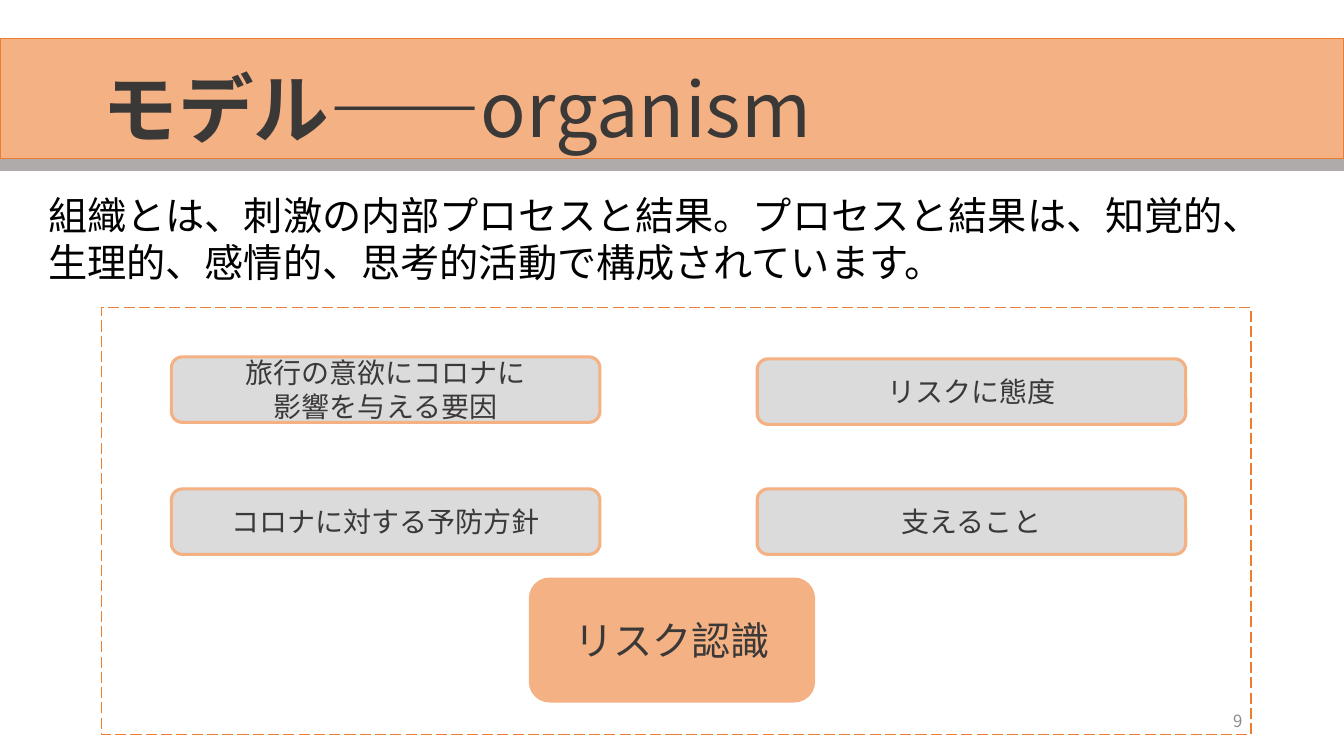
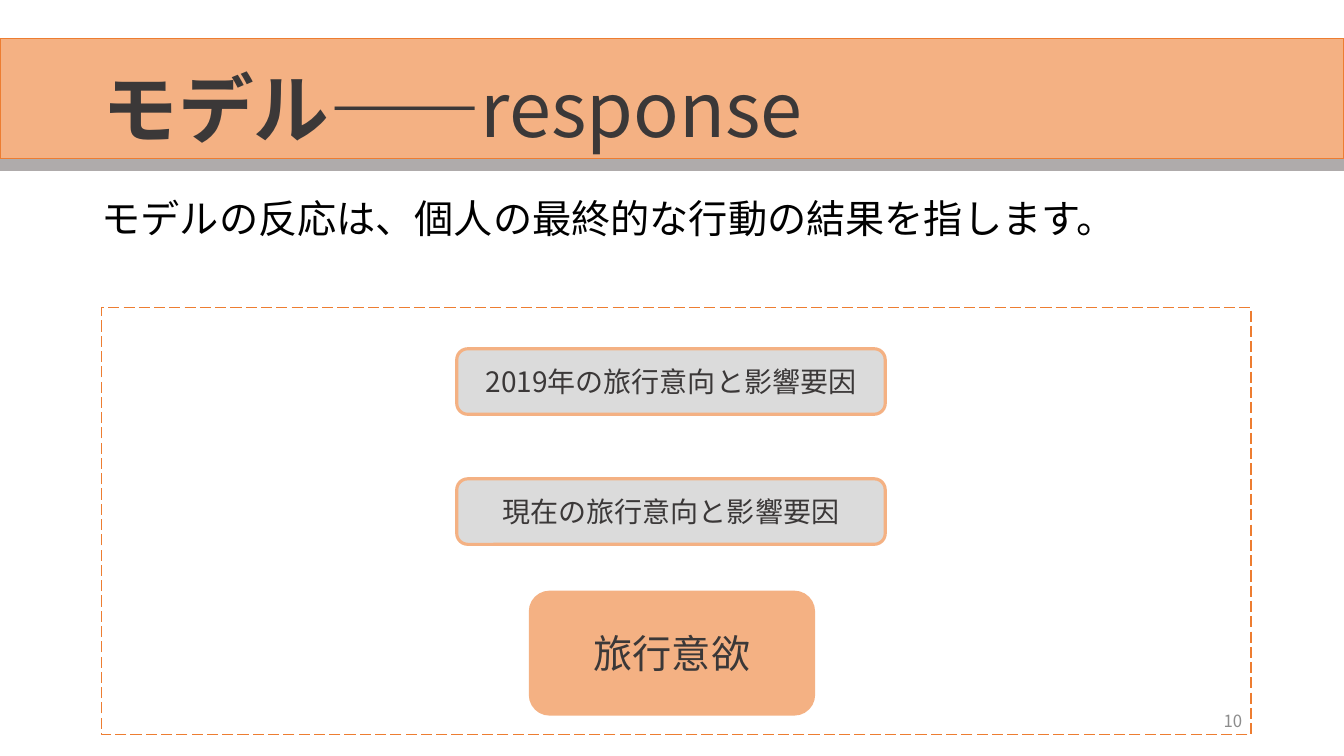
"""Build two slides on the organism and response stages of the model."""

from dataclasses import dataclass

from lxml import etree
from pptx import Presentation
from pptx.dml.color import RGBColor
from pptx.enum.dml import MSO_LINE
from pptx.enum.shapes import MSO_SHAPE
from pptx.enum.text import MSO_ANCHOR, PP_ALIGN
from pptx.oxml.ns import qn
from pptx.shapes.autoshape import Shape
from pptx.slide import Slide
from pptx.util import Inches, Pt

RECT = MSO_SHAPE.RECTANGLE
ROUNDED = MSO_SHAPE.ROUNDED_RECTANGLE
LONG_DASH = MSO_LINE.LONG_DASH
TOP, MIDDLE = MSO_ANCHOR.TOP, MSO_ANCHOR.MIDDLE
LEFT, CENTER, RIGHT = PP_ALIGN.LEFT, PP_ALIGN.CENTER, PP_ALIGN.RIGHT


@dataclass(frozen=True)
class Theme:
    font: str = "Noto Sans CJK JP"
    peach: str = "F4B183"
    orange: str = "ED7D31"
    rule: str = "AFABAB"
    panel: str = "DBDBDB"
    ink: str = "3B3838"
    body: str = "000000"
    muted: str = "8C8C8C"
    title_size: int = 54
    lead_size: int = 28
    factor_size: int = 20
    number_size: int = 12


@dataclass(frozen=True)
class Box:
    left: float
    top: float
    width: float
    height: float


@dataclass(frozen=True)
class Factor:
    text: str
    left: float
    top: float


@dataclass(frozen=True)
class Stage:
    name: str
    lead: str
    lead_box: Box
    factors: tuple[Factor, ...]
    outcome: str
    outcome_top: float
    number: int


THEME = Theme()
SLIDE_WIDTH, SLIDE_HEIGHT = 13.33, 7.5
BAND = Box(0, 0.38, SLIDE_WIDTH, 1.2)
RULE = Box(0, 1.58, SLIDE_WIDTH, 0.11)
TITLE = Box(0.92, 0.4, 11.5, 1.45)
FRAME = Box(1.01, 3.05, 11.4, 4.24)
NUMBER = Box(9.42, 6.95, 3, 0.4)
FACTOR_WIDTH, FACTOR_HEIGHT = 4.25, 0.65
OUTCOME_WIDTH, OUTCOME_HEIGHT = 2.84, 1.24
LEFT_COLUMN, MIDDLE_COLUMN, RIGHT_COLUMN = 1.7, 4.53, 7.51

STAGES = (
    Stage(
        "organism",
        "組織とは、刺激の内部プロセスと結果。プロセスと結果は、知覚的、"
        "生理的、感情的、思考的活動で構成されています。",
        Box(0.38, 1.85, 12.56, 1.04),
        (
            Factor("旅行の意欲にコロナに\n影響を与える要因", LEFT_COLUMN, 3.54),
            Factor("コロナに対する予防方針", LEFT_COLUMN, 4.85),
            Factor("リスクに態度", RIGHT_COLUMN, 3.56),
            Factor("支えること", RIGHT_COLUMN, 4.85),
        ),
        "リスク認識", 5.73, 9,
    ),
    Stage(
        "response",
        "モデルの反応は、個人の最終的な行動の結果を指します。",
        Box(0.91, 1.88, 11.5, 0.57),
        (
            Factor("2019年の旅行意向と影響要因", MIDDLE_COLUMN, 3.46),
            Factor("現在の旅行意向と影響要因", MIDDLE_COLUMN, 4.75),
        ),
        "旅行意欲", 5.86, 10,
    ),
)


def place(box: Box) -> tuple[Inches, ...]:
    return tuple(Inches(v) for v in (box.left, box.top, box.width, box.height))


def write(shape: Shape, text: str, *, size: int, color: str = THEME.ink,
          align: PP_ALIGN = LEFT, anchor: MSO_ANCHOR = MIDDLE,
          bold_lead: str = "", spacing: float = 1.0) -> None:
    frame = shape.text_frame
    frame.word_wrap = True
    frame.vertical_anchor = anchor
    for index, line in enumerate(text.split("\n")):
        paragraph = frame.add_paragraph() if index else frame.paragraphs[0]
        paragraph.alignment = align
        paragraph.line_spacing = spacing
        for part, bold in ((bold_lead, True), (line, False)):
            if not part:
                continue
            run = paragraph.add_run()
            run.text = part
            run.font.size = Pt(size)
            run.font.bold = bold
            run.font.color.rgb = RGBColor.from_string(color)
            run.font.name = THEME.font
            east_asian = etree.SubElement(run.font._element, qn("a:ea"))
            east_asian.set("typeface", THEME.font)


def draw(slide: Slide, box: Box, kind: MSO_SHAPE = RECT, *, fill: str = "",
         line: str = "", weight: float = 1, dash: MSO_LINE | None = None) -> Shape:
    shape = slide.shapes.add_shape(kind, *place(box))
    shape.shadow.inherit = False
    if fill:
        shape.fill.solid()
        shape.fill.fore_color.rgb = RGBColor.from_string(fill)
    else:
        shape.fill.background()
    if line:
        shape.line.color.rgb = RGBColor.from_string(line)
        shape.line.width = Pt(weight)
        shape.line.dash_style = dash
    else:
        shape.line.fill.background()
    return shape


def add_text(slide: Slide, box: Box, text: str, **text_format) -> None:
    write(slide.shapes.add_textbox(*place(box)), text, **text_format)


def add_base(slide: Slide, stage: Stage) -> None:
    draw(slide, BAND, fill=THEME.peach, line=THEME.orange)
    draw(slide, RULE, fill=THEME.rule, line=THEME.rule)
    add_text(slide, TITLE, stage.name, size=THEME.title_size,
             bold_lead="モデル——", spacing=0.9)
    draw(slide, FRAME, line=THEME.orange, dash=LONG_DASH)
    add_text(slide, NUMBER, str(stage.number), size=THEME.number_size,
             color=THEME.muted, align=RIGHT)


def add_stage(slide: Slide, stage: Stage) -> None:
    add_base(slide, stage)
    add_text(slide, stage.lead_box, stage.lead, size=THEME.lead_size,
             color=THEME.body, anchor=TOP)
    for factor in stage.factors:
        box = Box(factor.left, factor.top, FACTOR_WIDTH, FACTOR_HEIGHT)
        panel = draw(slide, box, ROUNDED, fill=THEME.panel,
                     line=THEME.peach, weight=2.25)
        write(panel, factor.text, size=THEME.factor_size, align=CENTER)
    outcome_box = Box((SLIDE_WIDTH - OUTCOME_WIDTH) / 2, stage.outcome_top,
                      OUTCOME_WIDTH, OUTCOME_HEIGHT)
    outcome = draw(slide, outcome_box, ROUNDED, fill=THEME.peach)
    write(outcome, stage.outcome, size=THEME.lead_size, align=CENTER)


def main() -> None:
    deck = Presentation()
    deck.slide_width = Inches(SLIDE_WIDTH)
    deck.slide_height = Inches(SLIDE_HEIGHT)
    blank = deck.slide_layouts[6]
    for stage in STAGES:
        add_stage(deck.slides.add_slide(blank), stage)
    deck.save("out.pptx")


if __name__ == "__main__":
    main()
